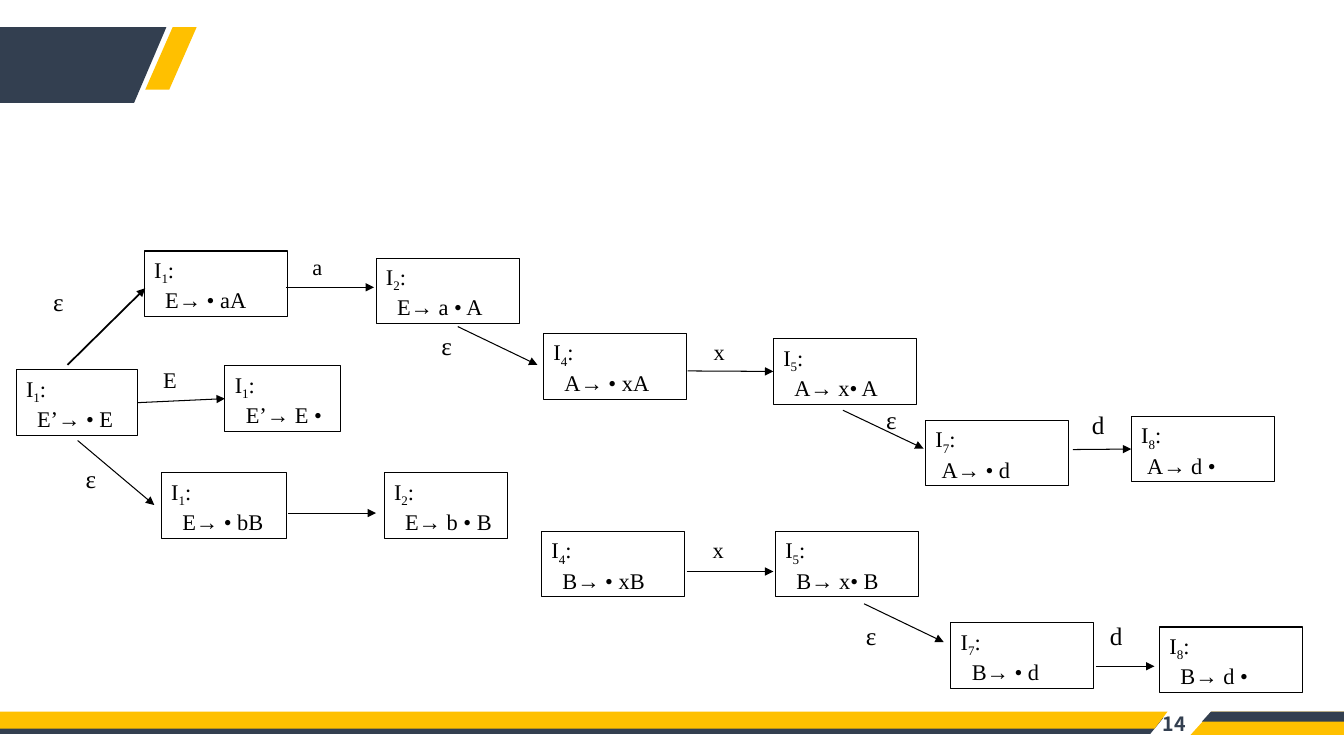
from dataclasses import dataclass

from lxml import etree
from pptx import Presentation
from pptx.dml.color import RGBColor
from pptx.enum.shapes import MSO_CONNECTOR, MSO_SHAPE
from pptx.enum.text import MSO_ANCHOR, PP_ALIGN
from pptx.oxml.ns import qn
from pptx.util import Pt

PX = 9144  # EMU, 100 px to the inch
WIDTH, HEIGHT = 1333, 750
RECT, SLANT = MSO_SHAPE.RECTANGLE, MSO_SHAPE.PARALLELOGRAM
STRAIGHT = MSO_CONNECTOR.STRAIGHT
TOP, MIDDLE = MSO_ANCHOR.TOP, MSO_ANCHOR.MIDDLE
LEFT, RIGHT = PP_ALIGN.LEFT, PP_ALIGN.RIGHT
LEFT_SIDE, RIGHT_SIDE = 1, 3


@dataclass(frozen=True)
class Theme:
    navy: RGBColor = RGBColor(0x33, 0x3F, 0x50)
    gold: RGBColor = RGBColor(0xFF, 0xC0, 0x00)
    ink: RGBColor = RGBColor(0, 0, 0)
    paper: RGBColor = RGBColor(0xFF, 0xFF, 0xFF)
    body_font: str = "Times New Roman"
    number_font: str = "Noto Sans CJK SC"
    item_size: int = 16
    large_size: int = 18
    number_size: int = 14
    thin: float = 0.75
    thick: float = 1.25
    subscript: str = "-25000"


T = Theme()
STATE_H, STATE_W = 65, 142

# name: (x, y, width, item number, production, indent)
STATES = {
    "start": (16, 127, 120, "1", "E’→ • E", 11),
    "accept": (223, 123, 115, "1", "E’→ E •", 11),
    "aA": (143, 9, STATE_W, "1", "E→ • aA", 11),
    "a.A": (373, 16, STATE_W, "2", "E→ a • A", 11),
    "xA": (539, 91, STATE_W, "4", "A→ • xA", 11),
    "x.A": (767, 96, STATE_W, "5", "A→ x• A", 11),
    "A.d": (918, 177, STATE_W, "7", "A→ • d", 6),
    "Ad.": (1122, 173, STATE_W, "8", "A→ d •", 6),
    "bB": (160, 229, 124, "1", "E→ • bB", 11),
    "b.B": (381, 229, 122, "2", "E→ b • B", 11),
    "xB": (537, 287, STATE_W, "4", "B→ • xB", 11),
    "x.B": (769, 287, STATE_W, "5", "B→ x• B", 11),
    "B.d": (943, 378, STATE_W, "7", "B→ • d", 11),
    "Bd.": (1150, 382, STATE_W, "8", "B→ d •", 11),
}

# An end is a point, or a state name with the side it joins
ARROWS = [
    (("start", RIGHT_SIDE), ("accept", LEFT_SIDE), T.thin),
    ((67, 122), (144, 46), T.thick),
    ((77, 197), (153, 261), T.thin),
    ((284, 45), (371, 45), T.thin),
    ((454, 84), (533, 122), T.thin),
    ((682, 128), ("x.A", LEFT_SIDE), T.thin),
    ((836, 167), (916, 205), T.thin),
    ((1064, 206), ("Ad.", LEFT_SIDE), T.thin),
    ((286, 269), (373, 269), T.thin),
    ((681, 327), (767, 327), T.thin),
    ((857, 359), (936, 397), T.thin),
    ((1087, 421), (1145, 421), T.thin),
]

# (text, width, height, size, top-left corners)
LABELS = [
    ("E", 55, 37, T.item_size, [(152, 118)]),
    ("a", 55, 37, T.item_size, [(300, 6)]),
    ("x", 55, 37, T.item_size, [(698, 91), (697, 287)]),
    ("d", 72, 40, T.large_size, [(1073, 161), (1091, 370)]),
    ("ε", 87, 40, T.large_size,
     [(43, 39), (75, 215), (428, 83), (869, 156), (849, 370)]),
]


def px(*lengths):
    return [round(n * PX) for n in lengths]


def paint(sp, fill, line=None):
    sp.shadow.inherit = False
    sp.fill.solid()
    sp.fill.fore_color.rgb = fill
    if line is None:
        sp.line.fill.background()
    else:
        sp.line.color.rgb = line
        sp.line.width = Pt(T.thin)


def add_polygon(s, points, fill):
    corners = [tuple(px(*point)) for point in points]
    builder = s.shapes.build_freeform(*corners[0], scale=1.0)
    builder.add_line_segments(corners[1:], close=True)
    paint(builder.convert_to_shape(), fill)


def add_slant(s, x, y, w, h, lean, fill):
    sp = s.shapes.add_shape(SLANT, *px(x, y, w, h))
    sp.adjustments[0] = lean
    paint(sp, fill)


def add_run(p, text, size, color=T.ink, font=T.body_font, bold=False):
    r = p.add_run()
    r.text = text
    r.font.size = Pt(size)
    r.font.name = font
    r.font.bold = bold
    r.font.color.rgb = color
    return r


def add_text_box(s, x, y, w, h, anchor=TOP, align=LEFT):
    """Add an empty text box and return its first paragraph."""
    tf = s.shapes.add_textbox(*px(x, y, w, h)).text_frame
    tf.word_wrap = True
    tf.vertical_anchor = anchor
    p = tf.paragraphs[0]
    p.alignment = align
    return p


def add_header(s, x, y, w, h):
    add_polygon(s, [(x, y), (x + w, y), (x + w - 32, y + h), (x, y + h)], T.navy)
    add_slant(s, x + w - 21, y, 51, 62, 0.533, T.gold)


def add_footer(s, x, y, number):
    for top, bottom, right, fill in ((6, 22, 1154, T.navy), (0, 17, 1158, T.gold)):
        add_polygon(s, [(x, y + top), (x + right, y + top),
                        (x + right - 13, y + bottom), (x, y + bottom)], fill)
    add_slant(s, x + 1181, y, 173, 23, 0.904, T.gold)
    add_slant(s, x + 1192, y, 168, 10, 0.904, T.navy)
    p = add_text_box(s, x + 1139, y - 8, 47, 40, MIDDLE, RIGHT)
    add_run(p, number, T.number_size, T.navy, T.number_font, bold=True)


def add_state(s, x, y, w, number, production, indent):
    sp = s.shapes.add_shape(RECT, *px(x, y, w, STATE_H))
    paint(sp, T.paper, T.ink)
    tf = sp.text_frame
    tf.word_wrap = True
    tf.vertical_anchor = TOP
    p = tf.paragraphs[0]
    p.alignment = LEFT
    add_run(p, "I", T.item_size)
    sub = add_run(p, number, T.item_size)
    sub.font._element.set("baseline", T.subscript)
    add_run(p, ":", T.item_size)
    p = tf.add_paragraph()
    p.alignment = LEFT
    p._p.get_or_add_pPr().set("marL", str(indent * PX))
    add_run(p, production, T.item_size)
    return sp


def add_arrow(s, x, y, begin, end, width, states):
    line = s.shapes.add_connector(STRAIGHT, 0, 0, 0, 0)
    if begin[0] in states:
        line.begin_connect(states[begin[0]], begin[1])
    else:
        line.begin_x, line.begin_y = px(x + begin[0], y + begin[1])
    if end[0] in states:
        line.end_connect(states[end[0]], end[1])
    else:
        line.end_x, line.end_y = px(x + end[0], y + end[1])
    line.line.color.rgb = T.ink
    line.line.width = Pt(width)
    etree.SubElement(line.line._get_or_add_ln(), qn("a:tailEnd"), type="triangle")
    etree.SubElement(line._element.spPr, qn("a:effectLst"))


def add_automaton(s, x, y):
    states = {name: add_state(s, x + left, y + top, *rest)
              for name, (left, top, *rest) in STATES.items()}
    for begin, end, width in ARROWS:
        add_arrow(s, x, y, begin, end, width, states)
    for text, w, h, size, corners in LABELS:
        for left, top in corners:
            add_run(add_text_box(s, x + left, y + top, w, h), text, size)


def main():
    prs = Presentation()
    prs.slide_width, prs.slide_height = px(WIDTH, HEIGHT)
    s = prs.slides.add_slide(prs.slide_layouts[6])
    add_header(s, 0, 27, 165, 75)
    add_footer(s, 0, 706, "14")
    add_automaton(s, 0, 240)
    prs.save("out.pptx")


if __name__ == "__main__":
    main()
